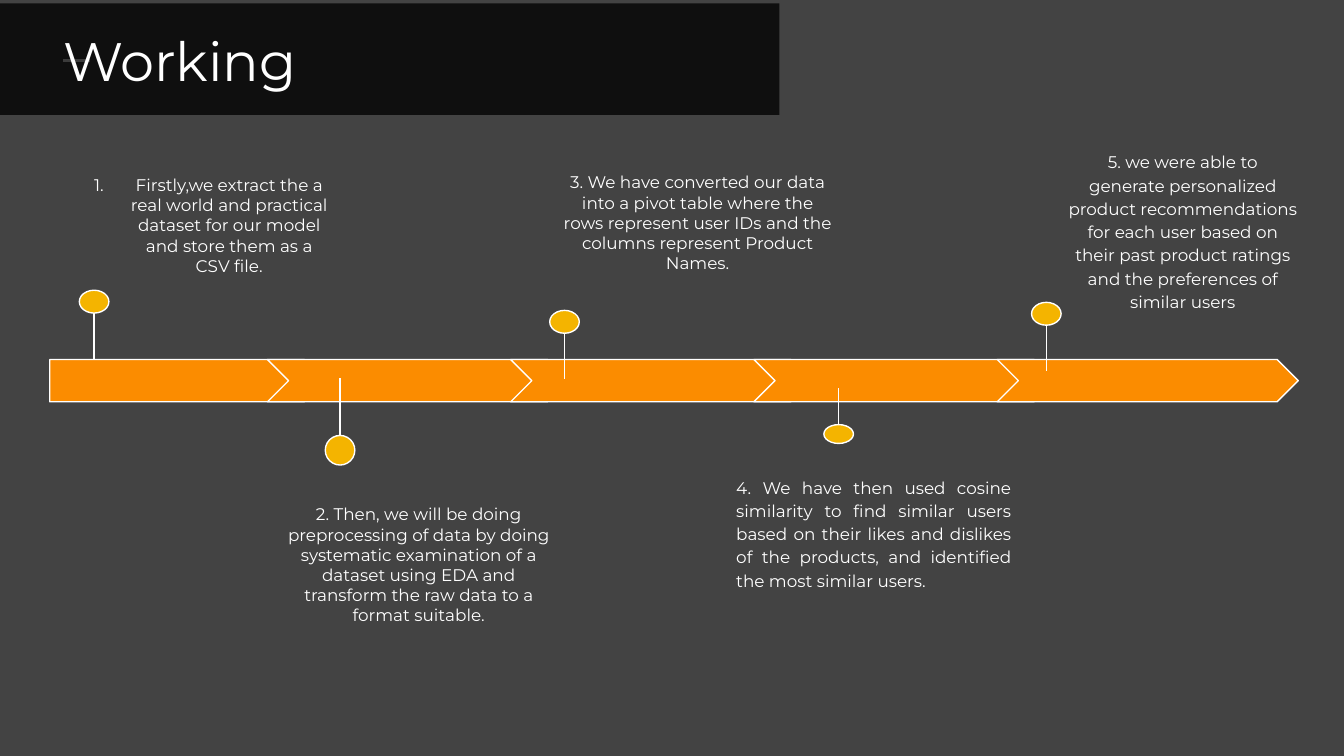
from lxml import etree
from pptx import Presentation
from pptx import util as u
from pptx.dml.color import RGBColor
from pptx.enum import shapes, text
from pptx.oxml.ns import qn

WHITE = RGBColor(0xFF, 0xFF, 0xFF)
GREY = RGBColor(0x43, 0x43, 0x43)
BLACK = RGBColor(0, 0, 0)
ORANGE = RGBColor(0xFB, 0x8C, 0x00)
AMBER = RGBColor(0xF4, 0xB4, 0x00)
SHAPE = shapes.MSO_SHAPE
ALIGN = text.PP_ALIGN


class Deck:
    """Style and current slide; lengths are in grid columns and rows."""
    font, body_size, title_size = "Montserrat", 9, 29
    columns, rows = 100, 56.25

    def __init__(self, prs):
        self.col = prs.slide_width / self.columns
        self.row = prs.slide_height / self.rows
        self.s = prs.slides.add_slide(prs.slide_layouts[5])
        self.s.background.fill.solid()
        self.s.background.fill.fore_color.rgb = GREY

    def x(self, n):
        return u.Emu(round(n * self.col))

    def y(self, n):
        return u.Emu(round(n * self.row))

    def box(self, left, top, width, height):
        return self.x(left), self.y(top), self.x(width), self.y(height)

    def shape(self, kind, area, fill, outline=True, opacity=None):
        sp = self.s.shapes.add_shape(kind, *self.box(*area))
        sp.shadow.inherit = False
        sp.fill.solid()
        sp.fill.fore_color.rgb = fill
        if opacity is not None:
            clr = sp._element.spPr.find(qn("a:solidFill"))[0]
            etree.SubElement(clr, qn("a:alpha"), val=str(opacity * 1000))
        if outline:
            sp.line.color.rgb = WHITE
            sp.line.width = u.Pt(0.75)
        else:
            sp.line.fill.background()
        return sp

    def line(self, x1, y1, x2, y2, width=0.75):
        c = self.s.shapes.add_connector(shapes.MSO_CONNECTOR.STRAIGHT,
                                        self.x(x1), self.y(y1), self.x(x2), self.y(y2))
        c.line.color.rgb = WHITE
        c.line.width = u.Pt(width)
        etree.SubElement(c._element.spPr, qn("a:effectLst"))

    def pin(self, x, stem_end, top, height, width=2.2):
        self.line(x, top + height / 2, x, stem_end)
        self.shape(SHAPE.OVAL, (x - width / 2, top, width, height), AMBER)

    def set_text(self, sp, words, size, align):
        tf = sp.text_frame
        tf.word_wrap = True
        tf.vertical_anchor = text.MSO_ANCHOR.TOP
        tf.margin_left = tf.margin_right = tf.margin_top = tf.margin_bottom = u.Inches(0.1)
        p = tf.paragraphs[0]
        p.alignment = align
        r = p.add_run()
        r.text = words
        r.font.name, r.font.size = self.font, u.Pt(size)
        r.font.color.rgb = WHITE
        return p

    def note(self, area, words, align=ALIGN.CENTER, spacing=None, indent=None, numbered=False):
        sp = self.s.shapes.add_textbox(*self.box(*area))
        p = self.set_text(sp, words, self.body_size, align)
        if spacing:
            p.line_spacing = spacing
        if indent:
            pPr = p._p.get_or_add_pPr()
            pPr.set("marL", str(u.Inches(indent[0])))
            pPr.set("indent", str(u.Inches(indent[1])))
            if numbered:
                etree.SubElement(pPr, qn("a:buAutoNum"), type="arabicPeriod")

    def title(self, area, words):
        sp = self.s.shapes.title
        sp.left, sp.top, sp.width, sp.height = self.box(*area)
        self.set_text(sp, words, self.title_size, ALIGN.LEFT)
        sp.text_frame.auto_size = text.MSO_AUTO_SIZE.NONE
        self.s.shapes._spTree.append(sp._element)  # in front of the banner


prs = Presentation()
prs.slide_width, prs.slide_height = u.Inches(10), u.Inches(5.625)
d = Deck(prs)

# Accent line
d.line(4.7, 4.5, 6.7, 4.5, 1.5)

# Process arrow: a starting plate and four overlapping chevrons
d.shape(SHAPE.PENTAGON, (3.7, 26.75, 20.5, 3.15), ORANGE)
for i in range(4):
    d.shape(SHAPE.CHEVRON, (19.9 + 18.1 * i, 26.75, 22.4, 3.15), ORANGE)

# Pins: centre, stem end, disc top, disc height
for pin in [(7, 26.8, 21.6, 1.7), (25.3, 28.1, 32.4, 2.2), (42, 28.2, 23.1, 1.7),
            (62.4, 28.9, 31.6, 1.4), (77.85, 27.6, 22.5, 1.7)]:
    d.pin(*pin)

# Step descriptions
d.note((3.7, 12, 21.7, 9.6),
       "Firstly,we extract the a real world and practical dataset for our model "
       "and store them as a CSV file.", indent=(0.5, -0.31), numbered=True)
d.note((15, 36.5, 27.3, 11.1),
       "2. Then, we will be doing preprocessing of data by doing systematic examination "
       "of a dataset using EDA and transform the raw data to a format suitable.",
       indent=(0.5, 0))
d.note((40.7, 11.8, 22.4, 9.6),
       "3. We have converted our data into a pivot table where the rows represent "
       "user IDs and the columns represent Product Names.")
d.note((53.8, 34.3, 22.4, 10.5),
       "4. We have then used cosine similarity to find similar users based on their "
       "likes and dislikes of the products, and identified the most similar users.",
       ALIGN.JUSTIFY, spacing=1.15)
d.note((78.5, 10.1, 19, 16),
       "5. we were able to generate personalized product recommendations for each user "
       "based on their past product ratings and the preferences of similar users",
       spacing=1.15)

# Title banner
d.shape(SHAPE.RECTANGLE, (0, 0.25, 58, 8.3), BLACK, outline=False, opacity=77)
d.title((3.7, 1, 37.8, 6.9), "Working")

prs.save("out.pptx")
